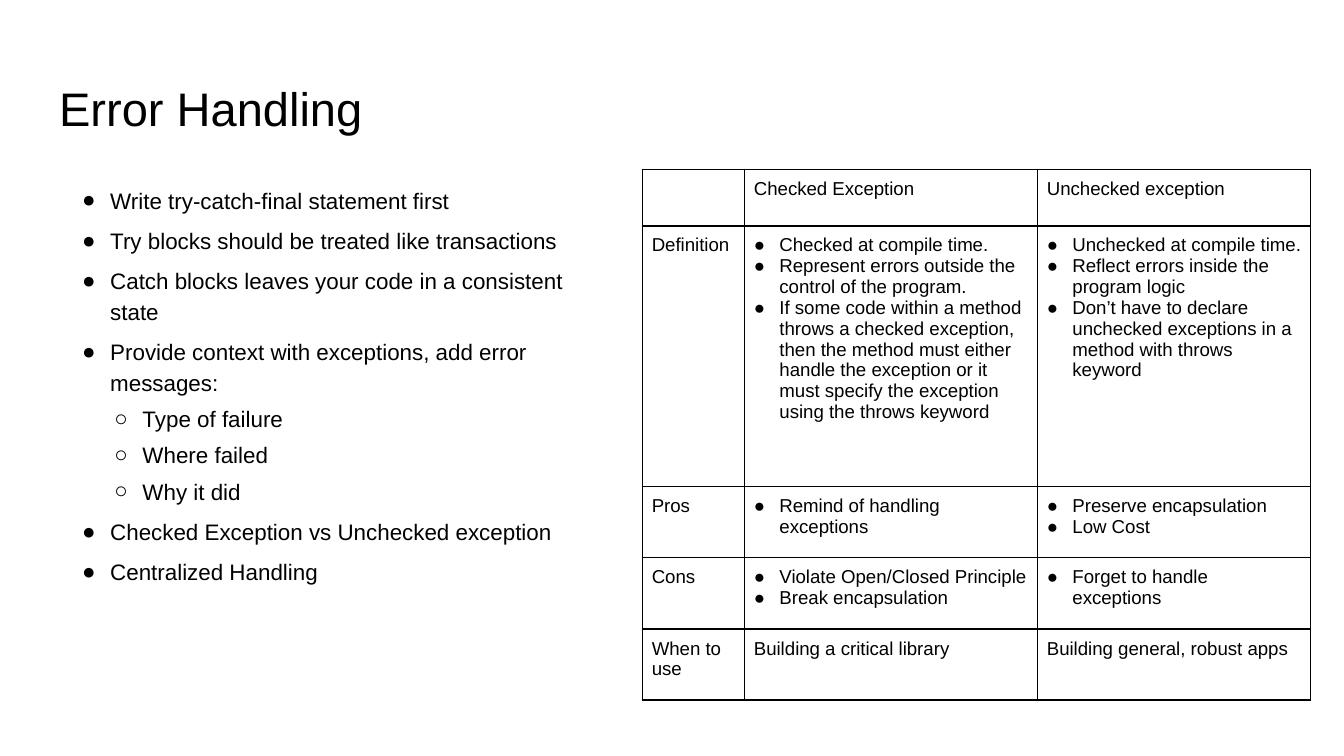
"""Build the Error Handling slide with a bullet list and a comparison table."""
import pptx
import pptx.dml.color
import pptx.enum.text
import pptx.oxml
import pptx.oxml.ns
import pptx.util
from pptx.util import Inches

COLORS = {"text": "000000", "border": "000000", "background": "FFFFFF"}
NAMESPACE = pptx.oxml.ns.nsdecls("a")


def format_paragraph(paragraph, size):
    for run in paragraph.runs:
        run.font.name = "Arial"
        run.font.size = pptx.util.Pt(size)
        run.font.color.rgb = pptx.dml.color.RGBColor.from_string(COLORS["text"])


def add_bullet(paragraph, character, margin, hanging):
    properties = paragraph._p.get_or_add_pPr()
    properties.set("marL", str(Inches(margin)))
    properties.set("indent", str(-Inches(hanging)))
    for xml in (
        f'<a:buClr {NAMESPACE}><a:srgbClr val="{COLORS["text"]}"/></a:buClr>',
        f'<a:buFont {NAMESPACE} typeface="Arial"/>',
        f'<a:buChar {NAMESPACE} char="{character}"/>',
    ):
        properties.append(pptx.oxml.parse_xml(xml))


presentation = pptx.Presentation()
presentation.slide_width = Inches(10)
presentation.slide_height = presentation.slide_width * 9 // 16
slide = presentation.slides.add_slide(presentation.slide_layouts[1])
title, body = slide.placeholders

placements = [
    (title, (0.34, 0.49, 9.32, 0.63)),
    (body, (0.34, 1.26, 4.18, 3.74)),
]
for placeholder, box in placements:
    placeholder.left, placeholder.top, placeholder.width, placeholder.height = map(Inches, box)
    frame = placeholder.text_frame
    frame.margin_left = frame.margin_right = Inches(0.1)
    frame.margin_top = frame.margin_bottom = Inches(0.1)
    frame.vertical_anchor = pptx.enum.text.MSO_ANCHOR.TOP
    frame.auto_size = pptx.enum.text.MSO_AUTO_SIZE.NONE
    frame.word_wrap = True

title.text_frame.text = "Error Handling"
title.text_frame.paragraphs[0].alignment = pptx.enum.text.PP_ALIGN.LEFT
format_paragraph(title.text_frame.paragraphs[0], 25.2)

guidelines = [
    (0, "Write try-catch-final statement first"),
    (0, "Try blocks should be treated like transactions"),
    (0, "Catch blocks leaves your code in a consistent state"),
    (0, "Provide context with exceptions, add error messages:"),
    (1, "Type of failure"),
    (1, "Where failed"),
    (1, "Why it did"),
    (0, "Checked Exception vs Unchecked exception"),
    (0, "Centralized Handling"),
]
level_styles = [("●", 0.38, 1.15), ("○", 0.62, 1.0)]
body.text_frame.text = "\n".join(text for level, text in guidelines)
for paragraph, (level, text) in zip(body.text_frame.paragraphs, guidelines):
    character, margin, spacing = level_styles[level]
    paragraph.level = level
    paragraph.line_spacing = spacing
    paragraph.space_before = pptx.util.Pt(5)
    paragraph.space_after = pptx.util.Pt(0)
    add_bullet(paragraph, character, margin, 0.21)
    format_paragraph(paragraph, 12)

comparison = [
    ["", "Checked Exception", "Unchecked exception"],
    [
        "Definition",
        [
            "Checked at compile time.",
            "Represent errors outside the control of the program.",
            "If some code within a method throws a checked exception, then the method must either "
            "handle the exception or it must specify the exception using the throws keyword",
        ],
        [
            "Unchecked at compile time.",
            "Reflect errors inside the program logic",
            "Don’t have to declare unchecked exceptions in a method with throws keyword",
        ],
    ],
    ["Pros", ["Remind of handling exceptions"], ["Preserve encapsulation", "Low Cost"]],
    [
        "Cons",
        ["Violate Open/Closed Principle", "Break encapsulation"],
        ["Forget to handle exceptions"],
    ],
    ["When to use", "Building a critical library", "Building general, robust apps"],
]
column_widths = [0.76, 2.18, 2.03]
row_heights = [0.42, 1.94, 0.53, 0.53, 0.53]
table = slide.shapes.add_table(
    len(row_heights), len(column_widths), Inches(4.78), Inches(1.26),
    Inches(sum(column_widths)), Inches(sum(row_heights)),
).table
table.first_row = table.horz_banding = False
for column, width in zip(table.columns, column_widths):
    column.width = Inches(width)
for row, height, contents in zip(table.rows, row_heights, comparison):
    row.height = Inches(height)
    for cell, content in zip(row.cells, contents):
        bulleted = isinstance(content, list)
        cell.margin_left = cell.margin_right = Inches(0.07)
        cell.margin_top = cell.margin_bottom = Inches(0.07)
        cell.text_frame.text = "\n".join(content) if bulleted else content
        for paragraph in cell.text_frame.paragraphs:
            if bulleted:
                add_bullet(paragraph, "●", 0.19, 0.19)
            format_paragraph(paragraph, 10)
            if not content:
                paragraph._p.append(pptx.oxml.parse_xml(f'<a:endParaRPr {NAMESPACE} sz="1000"/>'))
        properties = cell._tc.get_or_add_tcPr()
        for side in ("lnL", "lnR", "lnT", "lnB"):
            properties.append(pptx.oxml.parse_xml(
                f'<a:{side} {NAMESPACE} w="{pptx.util.Pt(1)}"><a:solidFill>'
                f'<a:srgbClr val="{COLORS["border"]}"/></a:solidFill></a:{side}>'
            ))
        cell.fill.solid()
        cell.fill.fore_color.rgb = pptx.dml.color.RGBColor.from_string(COLORS["background"])

presentation.save("out.pptx")
